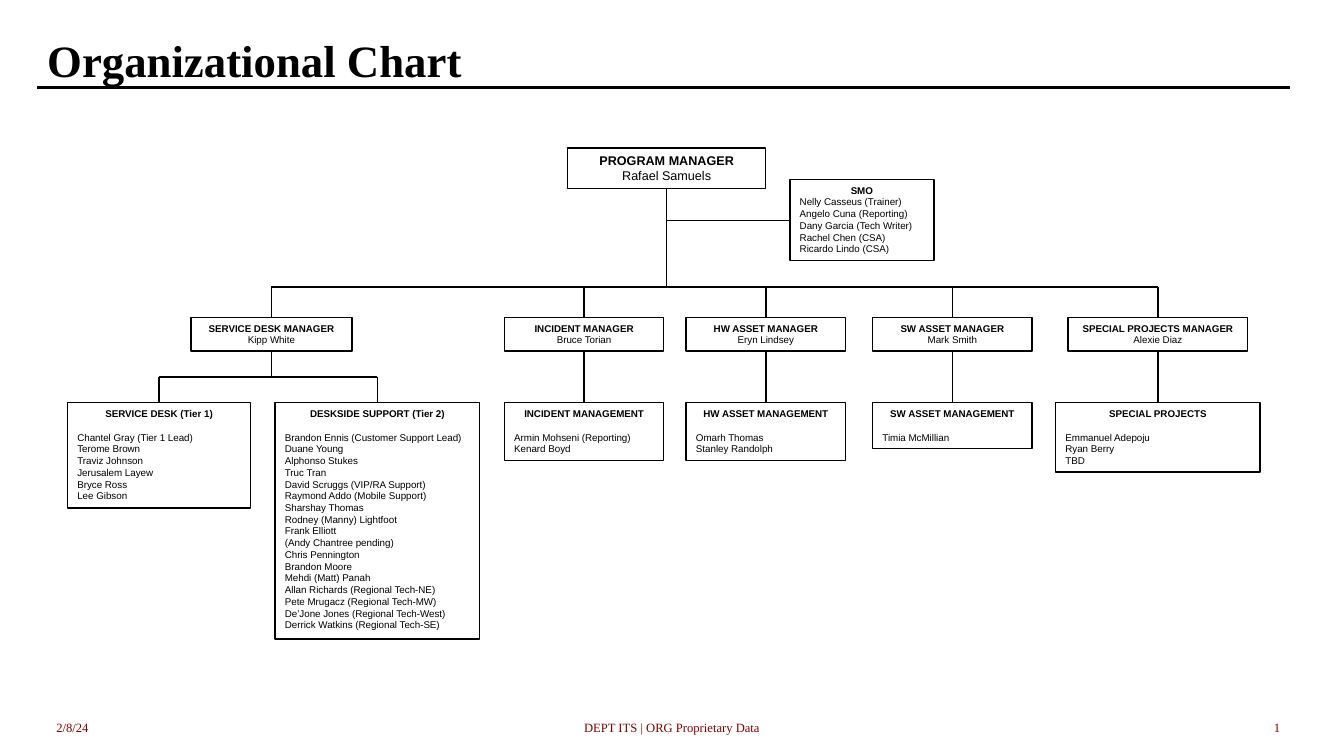
from lxml.etree import SubElement
from pptx import Presentation
from pptx.dml.color import RGBColor
from pptx.enum.shapes import MSO_CONNECTOR as CONNECTOR, MSO_SHAPE as SHAPE
from pptx.enum.text import MSO_ANCHOR as ANCHOR, PP_ALIGN as ALIGN
from pptx.oxml.ns import qn
from pptx.util import Cm, Pt

COLORS = {"ink": "000000", "paper": "FFFFFF", "footer": "800000"}
LINE_PER_POINT = 0.3 / 7
BOX_PADDING = 0.25
BUS_TOP, MANAGER_TOP, SPLIT_TOP, TEAM_TOP = 3.5, 4.27, 5.77, 6.42
PROGRAM_CENTER, SMO_CENTER, DESK_CENTER = 15.1, 20.02, 5.14

SMO_STAFF = [
    "Nelly Casseus (Trainer)", "Angelo Cuna (Reporting)", "Dany Garcia (Tech Writer)",
    "Rachel Chen (CSA)", "Ricardo Lindo (CSA)",
]
MANAGERS = [
    (DESK_CENTER, 4.06, "SERVICE DESK MANAGER", "Kipp White"),
    (13.02, 4.02, "INCIDENT MANAGER", "Bruce Torian"),
    (17.6, 4.02, "HW ASSET MANAGER", "Eryn Lindsey"),
    (22.3, 4.02, "SW ASSET MANAGER", "Mark Smith"),
    (27.48, 4.52, "SPECIAL PROJECTS MANAGER", "Alexie Diaz"),
]
DESK_TEAMS = [
    (2.31, 4.62, "SERVICE DESK (Tier 1)", [
        "Chantel Gray (Tier 1 Lead)", "Terome Brown", "Traviz Johnson",
        "Jerusalem Layew", "Bryce Ross", "Lee Gibson",
    ]),
    (7.81, 5.16, "DESKSIDE SUPPORT (Tier 2)", [
        "Brandon Ennis (Customer Support Lead)", "Duane Young", "Alphonso Stukes",
        "Truc Tran", "David Scruggs (VIP/RA Support)", "Raymond Addo (Mobile Support)",
        "Sharshay Thomas", "Rodney (Manny) Lightfoot", "Frank Elliott",
        "(Andy Chantree pending)", "Chris Pennington", "Brandon Moore",
        "Mehdi (Matt) Panah", "Allan Richards (Regional Tech-NE)",
        "Pete Mrugacz (Regional Tech-MW)", "De’Jone Jones (Regional Tech-West)",
        "Derrick Watkins (Regional Tech-SE)",
    ]),
]
OTHER_TEAMS = [
    (13.02, 4.02, "INCIDENT MANAGEMENT", ["Armin Mohseni (Reporting)", "Kenard Boyd"]),
    (17.6, 4.02, "HW ASSET MANAGEMENT", ["Omarh Thomas", "Stanley Randolph"]),
    (22.3, 4.02, "SW ASSET MANAGEMENT", ["Timia McMillian"]),
    (27.48, 5.16, "SPECIAL PROJECTS", ["Emmanuel Adepoju", "Ryan Berry", "TBD"]),
]


def color(name):
    """Return the named colour."""
    return RGBColor.from_string(COLORS[name])


def style_paragraph(paragraph, text, size, font_name, ink="ink", bold=False, align=ALIGN.LEFT):
    """Fill a paragraph and set its font and alignment."""
    paragraph.text = text
    paragraph.alignment = align
    font = paragraph.font
    font.size, font.name, font.bold = Pt(size), font_name, bold
    font.color.rgb = color(ink)


def add_line(slide, x1, y1, x2, y2, weight=1):
    """Draw a straight black line between two points in centimetres."""
    line = slide.shapes.add_connector(CONNECTOR.STRAIGHT, Cm(x1), Cm(y1), Cm(x2), Cm(y2))
    line.line.width = Pt(weight)
    line.line.color.rgb = color("ink")
    SubElement(line._element.spPr, qn("a:effectLst"))


def add_card(slide, center, top, width, heading, names, size=7, gap=False, align=ALIGN.LEFT):
    """Draw a box as tall as its heading and names need."""
    line_count = 1 + len(names) + gap
    height = BOX_PADDING + line_count * size * LINE_PER_POINT
    shape = slide.shapes.add_shape(
        SHAPE.RECTANGLE, Cm(center - width / 2), Cm(top), Cm(width), Cm(height))
    shape.shadow.inherit = False
    shape.fill.solid()
    shape.fill.fore_color.rgb = color("paper")
    shape.line.color.rgb = color("ink")
    shape.line.width = Pt(1)
    frame = shape.text_frame
    frame.word_wrap = True
    frame.vertical_anchor = ANCHOR.TOP
    title = frame.paragraphs[0]
    style_paragraph(title, heading, size, "Arial", bold=True, align=ALIGN.CENTER)
    if gap:
        title.space_after = Pt(size * 1.2)
    for name in names:
        style_paragraph(frame.add_paragraph(), name, size, "Arial", align=align)


def draw_title(slide, left, top, width):
    """Write the slide title above its rule."""
    add_line(slide, left, top + 1.52, left + width, top + 1.52, 2.25)
    box = slide.shapes.add_textbox(Cm(left), Cm(top), Cm(11.05), Cm(1.63))
    box.text_frame.word_wrap = False
    style_paragraph(box.text_frame.paragraphs[0], "Organizational Chart", 32,
                    "Times New Roman", bold=True)


def draw_lines(slide, left, top):
    """Connect the levels of the chart."""
    def connect(x1, y1, x2, y2):
        add_line(slide, left + x1, top + y1, left + x2, top + y2)

    connect(PROGRAM_CENTER, 1, PROGRAM_CENTER, BUS_TOP)
    connect(PROGRAM_CENTER, 1.82, SMO_CENTER - 1.8, 1.82)
    connect(MANAGERS[0][0], BUS_TOP, MANAGERS[-1][0], BUS_TOP)
    connect(DESK_CENTER, BUS_TOP, DESK_CENTER, SPLIT_TOP)
    connect(DESK_TEAMS[0][0], SPLIT_TOP, DESK_TEAMS[-1][0], SPLIT_TOP)
    for center, *_ in DESK_TEAMS:
        connect(center, SPLIT_TOP, center, TEAM_TOP)
    for center, *_ in OTHER_TEAMS:
        connect(center, BUS_TOP, center, TEAM_TOP)


def draw_chart(slide, left, top):
    """Draw the whole organization from program manager to teams."""
    draw_lines(slide, left, top)
    add_card(slide, left + PROGRAM_CENTER, top, 4.98, "PROGRAM MANAGER",
             ["Rafael Samuels"], size=9, align=ALIGN.CENTER)
    add_card(slide, left + SMO_CENTER, top + 0.79, 3.63, "SMO", SMO_STAFF)
    for center, width, role, person in MANAGERS:
        add_card(slide, left + center, top + MANAGER_TOP, width, role, [person],
                 align=ALIGN.CENTER)
    for center, width, team, members in DESK_TEAMS + OTHER_TEAMS:
        add_card(slide, left + center, top + TEAM_TOP, width, team, members, gap=True)


def draw_footer(slide, left, top, height):
    """Write the date, the ownership note and the page number."""
    parts = [
        (0, 8.08, "2/8/24", ALIGN.LEFT),
        (9.7, 12.12, "DEPT ITS | ORG Proprietary Data", ALIGN.CENTER),
        (23.26, 8.08, "1", ALIGN.RIGHT),
    ]
    for offset, width, text, align in parts:
        box = slide.shapes.add_textbox(Cm(left + offset), Cm(top), Cm(width), Cm(height))
        box.text_frame.word_wrap = True
        box.text_frame.vertical_anchor = ANCHOR.MIDDLE
        style_paragraph(box.text_frame.paragraphs[0], text, 9, "Times New Roman",
                        ink="footer", align=align)


def main():
    """Build the slide and save it."""
    presentation = Presentation()
    presentation.slide_width, presentation.slide_height = Cm(33.87), Cm(19.05)
    slide = presentation.slides.add_slide(presentation.slide_layouts[6])
    draw_title(slide, 0.94, 0.69, 31.57)
    draw_chart(slide, 1.7, 3.73)
    draw_footer(slide, 1.17, 17.83, 1.02)
    presentation.save("out.pptx")


if __name__ == "__main__":
    main()
